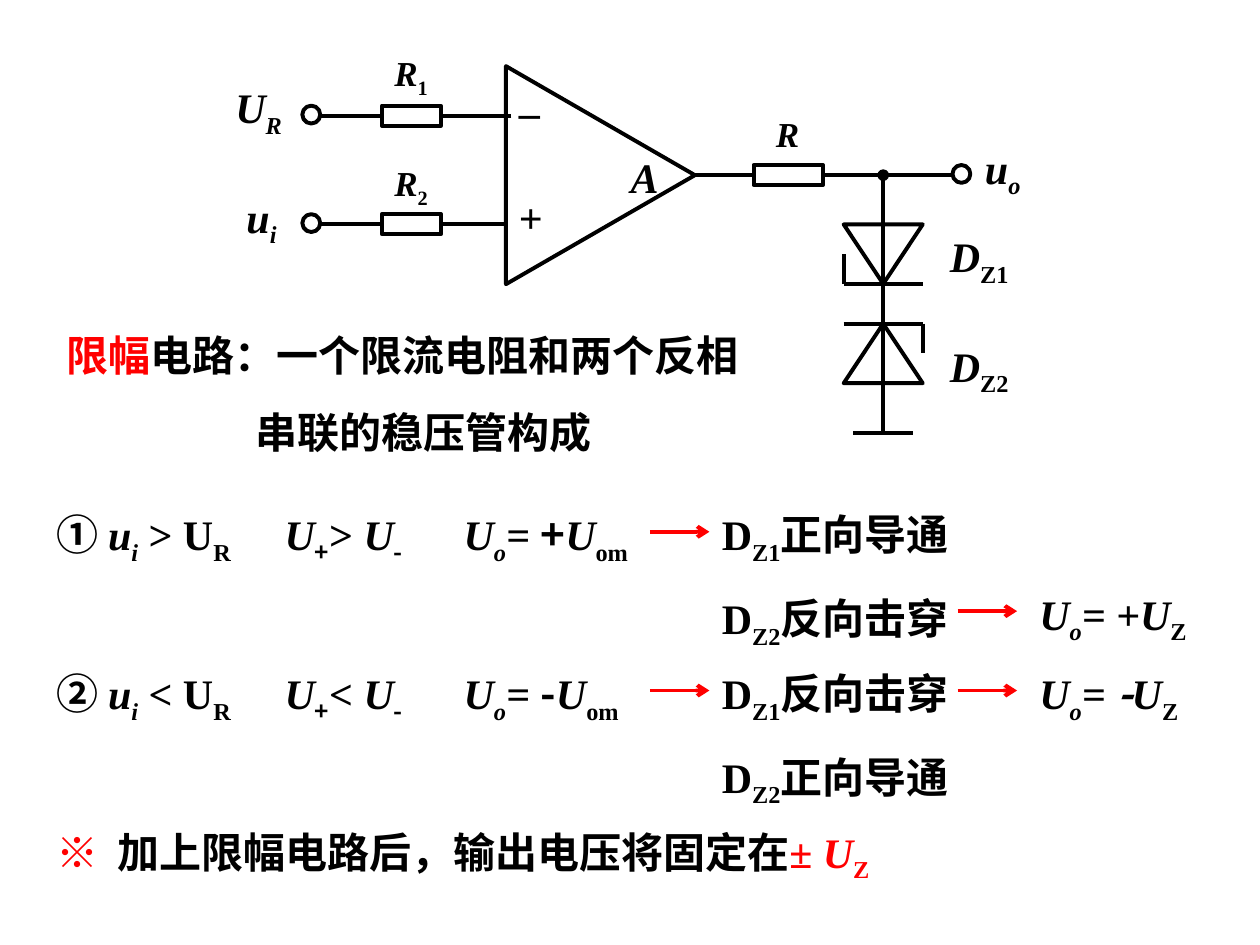
import pptx
import pptx.util
import pptx.dml.color
import pptx.enum.shapes
import pptx.oxml.ns
from lxml import etree

Pt = pptx.util.Pt
SHAPE = pptx.enum.shapes.MSO_SHAPE

THEME = {
    "ink": pptx.dml.color.RGBColor(0, 0, 0),
    "accent": pptx.dml.color.RGBColor(255, 0, 0),
    "paper": pptx.dml.color.RGBColor(255, 255, 255),
    "latin": "Times New Roman",
    "cjk": "Noto Sans CJK SC",
    "body": 24,
    "small": 20,
    "line": 2.25,
    "gap": 15,
}

# Style letters: i italic, s subscript, c CJK font, r accent colour
CIRCUIT_LABELS = [
    (353.3, 82.8, 72, "body", [("A", "i")]),
    (555.8, 77.8, 66, "body", [("u", "i"), ("o", "is")]),
    (289.4, 37.4, 45, "body", [("_", "")]),
    (289.4, 105.8, 45, "body", [("+", "")]),
    (218.2, 25.9, 73, "small", [("R", "i"), ("1", "s")]),
    (218.2, 88.6, 73, "small", [("R", "i"), ("2", "s")]),
    (436.3, 60.5, 73, "small", [("R", "i")]),
    (127.4, 43.2, 90, "body", [("U", "i"), ("R", "is")]),
    (133.7, 105.8, 90, "body", [("u", "i"), ("i", "is")]),
    (535.7, 128.2, 96, "body", [("D", "i"), ("Z1", "s")]),
    (535.7, 190.8, 96, "body", [("D", "i"), ("Z2", "s")]),
]
DEFINITION = [
    [("限幅", "r"), ("电路：一个限流电阻和两个反相", "")],
    [("串联的稳压管构成", "")],
]
CASES = [
    {"mark": "①", "relation": ">", "sign": "+", "diodes": ["正向导通", "反向击穿"],
     "breakdown": 1, "output": [("= +U", "i")]},
    {"mark": "②", "relation": "<", "sign": "-", "diodes": ["反向击穿", "正向导通"],
     "breakdown": 0, "output": [("= ", "i"), ("-", "ic"), ("U", "i")]},
]
CONCLUSION = [("※\t", "cr"), ("加上限幅电路后，输出电压将固定在", ""),
              ("± ", "r"), ("U", "ir"), ("Z", "sr")]

CASE_TOP, CASE_STEP, DIODE_STEP = 287.3, 90.7, 45.35
CONDITION_X, INPUTS_X, SWING_X, DIODES_X, OUTPUT_X = 25.2, 155.5, 257.8, 405.4, 586.8
ARROW_DROP, ARROW_LENGTH = 16.6, 34
OUTPUT_ARROW_X = 547.2
INPUT_YS = [66.2, 128.2]
OUTPUT_Y = 100.1
ZENER_X, ZENER_HALF, ZENER_HEIGHT, HOOK = 504.7, 22.6, 34, 17
ZENER_TOPS = [128.2, 185]
GROUND_Y, GROUND_HALF = 247.7, 17

prs = pptx.Presentation()
prs.slide_width, prs.slide_height = Pt(720), Pt(540)
slide = prs.slides.add_slide(prs.slide_layouts[6])


def set_fonts(paragraph, runs, size):
    traits = {
        "name": [THEME["cjk" if "c" in s else "latin"] for _, s in runs],
        "italic": ["i" in s for _, s in runs],
        "colour": [THEME["accent" if "r" in s else "ink"] for _, s in runs],
    }

    def apply(font, trait, value):
        if trait == "colour":
            font.color.rgb = value
        else:
            setattr(font, trait, value)

    paragraph.font.size, paragraph.font.bold = Pt(size), True
    added = []
    for text, style in runs:
        run = paragraph.add_run()
        run.text = text
        added.append(run)
        if "s" in style:
            run._r.get_or_add_rPr().set("baseline", "-25000")
    for trait, values in traits.items():
        if len(set(values)) == 1:
            apply(paragraph.font, trait, values[0])
        else:
            for run, value in zip(added, values):
                apply(run.font, trait, value)
    for run in added:
        if any(ord(letter) > 0x2000 for letter in run.text):
            ea = etree.SubElement(run._r.get_or_add_rPr(), pptx.oxml.ns.qn("a:ea"))
            ea.set("typeface", THEME["cjk"])


def write(left, top, width, paragraphs, size="body", indents=()):
    height = THEME[size] * 1.2 * len(paragraphs) + 7.2 + THEME["gap"] * (len(paragraphs) - 1)
    frame = slide.shapes.add_textbox(Pt(left), Pt(top), Pt(width), Pt(height)).text_frame
    frame.word_wrap = True
    for index, runs in enumerate(paragraphs):
        paragraph = frame.add_paragraph() if index else frame.paragraphs[0]
        if index:
            paragraph.space_before = Pt(THEME["gap"])
        if indents:
            margin, first = indents[index]
            properties = paragraph._p.get_or_add_pPr()
            properties.set("marL", str(Pt(margin)))
            properties.set("indent", str(Pt(first)))
        set_fonts(paragraph, runs, THEME[size])


def wire(x1, y1, x2, y2, colour="ink", head=None, tail=None):
    connector = slide.shapes.add_connector(
        pptx.enum.shapes.MSO_CONNECTOR.STRAIGHT, Pt(x1), Pt(y1), Pt(x2), Pt(y2))
    connector.line.color.rgb = THEME[colour]
    connector.line.width = Pt(THEME["line"])
    outline = connector.line._get_or_add_ln()
    for tag, kind in (("a:headEnd", head), ("a:tailEnd", tail)):
        if kind:
            etree.SubElement(outline, pptx.oxml.ns.qn(tag)).set("type", kind)
    etree.SubElement(connector._element.spPr, pptx.oxml.ns.qn("a:effectLst"))


def part(preset, left, top, width, height, rotation=0, filled=True):
    shape = slide.shapes.add_shape(preset, Pt(left), Pt(top), Pt(width), Pt(height))
    shape.shadow.inherit = False
    shape.rotation = rotation
    if filled:
        shape.fill.solid()
        shape.fill.fore_color.rgb = THEME["paper"]
    else:
        shape.fill.background()
    shape.line.color.rgb = THEME["ink"]
    shape.line.width = Pt(THEME["line"])


def resistor(left, y, width):
    part(SHAPE.RECTANGLE, left, y - 5.8, width, 11.5)


def terminal(left, y):
    part(SHAPE.OVAL, left, y - 5.8, 10.2, 10.2)


def arrow(left, y):
    wire(left, y, left + ARROW_LENGTH, y, "accent", tail="arrow")


part(SHAPE.ISOSCELES_TRIANGLE, 280.8, 46.1, 124.6, 108, rotation=90)
for y, end in zip(INPUT_YS, (292.3, 288.7)):
    wire(end, y, 178.6, y)
    resistor(218.2, y, 33.8)
    terminal(172.8, y)
wire(396.7, OUTPUT_Y, 544.3, OUTPUT_Y)
resistor(430.6, OUTPUT_Y, 39.6)
terminal(544.3, OUTPUT_Y)

wire(ZENER_X, OUTPUT_Y, ZENER_X, GROUND_Y, head="oval")
for top, rotation, side in zip(ZENER_TOPS, (180, 0), (-1, 1)):
    part(SHAPE.ISOSCELES_TRIANGLE, ZENER_X - ZENER_HALF, top, 2 * ZENER_HALF,
         ZENER_HEIGHT, rotation, filled=False)
    bar_y = top + ZENER_HEIGHT if rotation else top
    hook_x = ZENER_X + side * ZENER_HALF
    wire(ZENER_X - ZENER_HALF, bar_y, ZENER_X + ZENER_HALF, bar_y)
    wire(hook_x, bar_y, hook_x, bar_y + side * HOOK)
wire(ZENER_X - GROUND_HALF, GROUND_Y, ZENER_X + GROUND_HALF, GROUND_Y)

for left, top, width, size, runs in CIRCUIT_LABELS:
    write(left, top, width, [runs], size)

write(31, 185, 414, DEFINITION, indents=[(0, 0), (108, 0)])

for number, case in enumerate(CASES):
    top = CASE_TOP + number * CASE_STEP
    relation = case["relation"]
    write(CONDITION_X, top, 187, [[
        (case["mark"] + " ", "c"), ("u", "i"), ("i", "is"),
        (f" {relation} U", ""), ("R", "s")]])
    write(INPUTS_X, top, 187, [[
        ("U", "i"), ("+", "cs"), (relation + " ", ""), ("U", "i"), ("-", "cs")]])
    write(SWING_X, top, 153, [[
        ("U", "i"), ("o", "is"), ("= ", "i"), (case["sign"], "c"), ("U", "i"), ("om", "s")]])
    write(DIODES_X, top, 158, [
        [("D", ""), (f"Z{index}", "s"), (state, "")]
        for index, state in enumerate(case["diodes"], 1)])
    arrow(DIODES_X - ARROW_LENGTH, top + ARROW_DROP)
    output_top = top + case["breakdown"] * DIODE_STEP
    write(OUTPUT_X, output_top, 130, [[("U", "i"), ("o", "is"), *case["output"], ("Z", "s")]])
    arrow(OUTPUT_ARROW_X, output_top + ARROW_DROP)

write(25.2, 468.7, 562, [CONCLUSION], indents=[(34.8, -34.8)])

prs.save("out.pptx")
